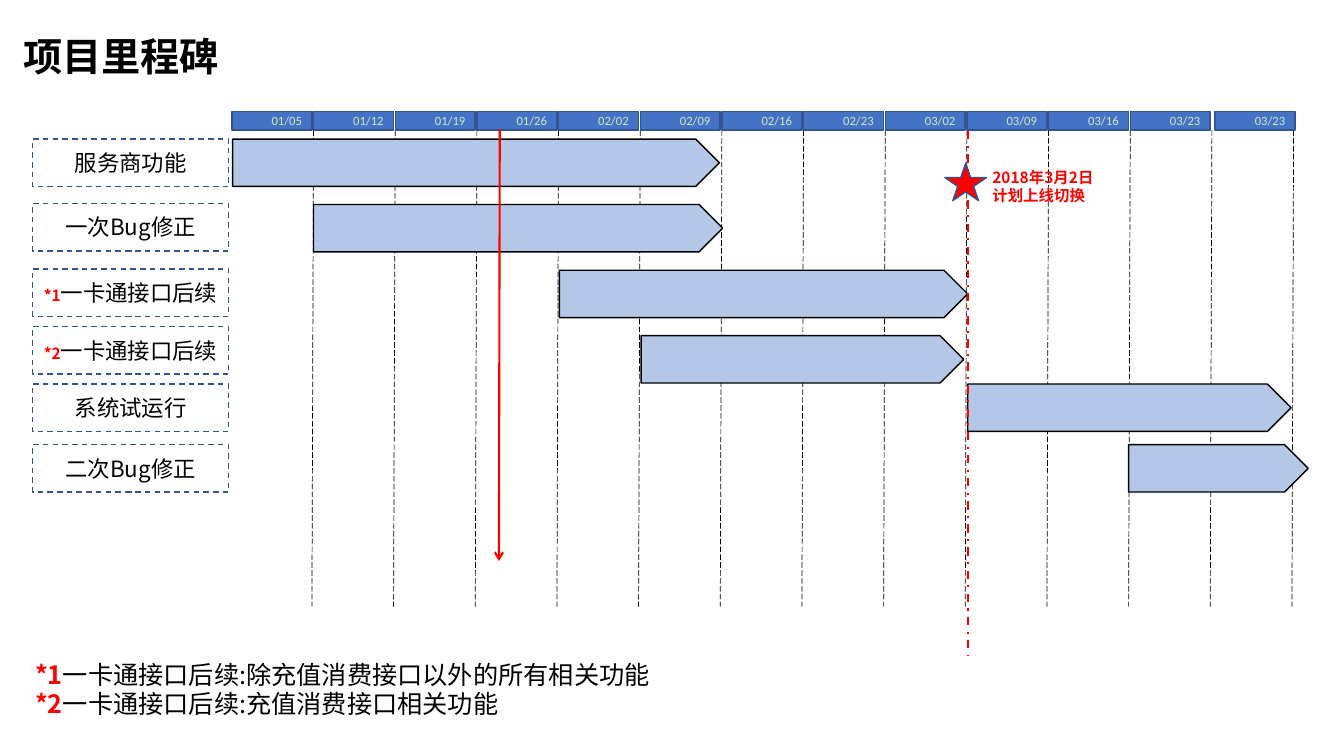
from lxml import etree
from pptx import Presentation
from pptx.dml.color import RGBColor
from pptx.enum.dml import MSO_LINE
from pptx.enum.shapes import MSO_CONNECTOR, MSO_SHAPE
from pptx.enum.text import MSO_ANCHOR, PP_ALIGN
from pptx.oxml.ns import qn
from pptx.util import Inches, Pt

RECTANGLE, PENTAGON, STAR = MSO_SHAPE.RECTANGLE, MSO_SHAPE.PENTAGON, MSO_SHAPE.STAR_5_POINT
STRAIGHT = MSO_CONNECTOR.STRAIGHT
DASH, LONG_DASH, DASH_DOT = MSO_LINE.DASH, MSO_LINE.LONG_DASH, MSO_LINE.DASH_DOT
LEFT, CENTER, RIGHT = PP_ALIGN.LEFT, PP_ALIGN.CENTER, PP_ALIGN.RIGHT
TOP, MIDDLE = MSO_ANCHOR.TOP, MSO_ANCHOR.MIDDLE

WHITE = RGBColor(0xFF, 0xFF, 0xFF)
BLACK = RGBColor(0x00, 0x00, 0x00)
RED = RGBColor(0xFF, 0x00, 0x00)
BLUE = RGBColor(0x44, 0x72, 0xC4)
DARK_BLUE = RGBColor(0x32, 0x54, 0x91)
LIGHT_BLUE = RGBColor(0xB4, 0xC7, 0xE7)
PALE_GREEN = RGBColor(0xCE, 0xEA, 0xCA)

CHINESE_FONT, DATE_FONT = "Noto Sans CJK SC", "Calibri"
LINE_HEIGHT = 1.18

# One column is a week, one row is the height of a bar.
ORIGIN_X, COLUMN = 2.3, 0.81
ORIGIN_Y, ROW = 1.38, 0.47

WEEKS = ["01/05", "01/12", "01/19", "01/26", "02/02", "02/09", "02/16",
         "02/23", "03/02", "03/09", "03/16", "03/23", "03/23"]
LAST_WEEK_GAP = 0.04

# Marker, label, label row, bar row, first week, length in weeks
TASKS = [
    ("", "服务商功能", 0, 0, 0.01, 5.96),
    ("", "一次Bug修正", 1.36, 1.38, 1, 5.01),
    ("*1", "一卡通接口后续", 2.74, 2.77, 4.01, 5),
    ("*2", "一卡通接口后续", 3.96, 4.15, 5.01, 3.95),
    ("", "系统试运行", 5.17, 5.17, 9.01, 3.96),
    ("", "二次Bug修正", 6.45, 6.45, 10.98, 2.2),
]
FOOTNOTES = [("*1", "一卡通接口后续:除充值消费接口以外的所有相关功能"),
             ("*2", "一卡通接口后续:充值消费接口相关功能")]


def set_font(font, size, color, bold=False, name=CHINESE_FONT):
    font.size, font.bold, font.name = Pt(size), bold, name
    font.color.rgb = color
    etree.SubElement(font._rPr, qn("a:ea")).set("typeface", name)


class Timeline:
    def __init__(self, presentation):
        self.slide = presentation.slides.add_slide(presentation.slide_layouts[5])
        background = self.slide.background.fill
        background.solid()
        background.fore_color.rgb = WHITE

    def place(self, column, row):
        return Inches(ORIGIN_X + column * COLUMN), Inches(ORIGIN_Y + row * ROW)

    def area(self, column, row, columns, rows):
        return *self.place(column, row), Inches(columns * COLUMN), Inches(rows * ROW)

    def put_lines(self, shape, lines, size, color, bold=False, align=LEFT, anchor=MIDDLE,
                  name=CHINESE_FONT, marker_size=None):
        """Fill a shape with (marker, text) lines; markers are bold red."""
        frame = shape.text_frame
        frame.word_wrap = True
        frame.vertical_anchor = anchor
        for index, (marker, text) in enumerate(lines):
            paragraph = frame.add_paragraph() if index else frame.paragraphs[0]
            paragraph.alignment = align
            paragraph.line_spacing = Pt(round(size * LINE_HEIGHT, 1))
            if marker:
                marker_run, text_run = paragraph.add_run(), paragraph.add_run()
                marker_run.text, text_run.text = marker, text
                set_font(marker_run.font, marker_size or size, RED, True)
                set_font(text_run.font, size, color, bold, name)
            else:
                paragraph.add_run().text = text
                set_font(paragraph.font, size, color, bold, name)

    def title(self, area, text):
        title = self.slide.shapes.title
        title.left, title.top, title.width, title.height = self.area(*area)
        self.put_lines(title, [("", text)], 28, BLACK, bold=True, anchor=TOP)

    def text(self, area, lines, size, color, **style):
        box = self.slide.shapes.add_textbox(*self.area(*area))
        self.put_lines(box, lines, size, color, **style)

    def shape(self, kind, area, fill, outline, dash=None):
        shape = self.slide.shapes.add_shape(kind, *self.area(*area))
        shape.shadow.inherit = False
        if fill is None:
            shape.fill.background()
        else:
            shape.fill.solid()
            shape.fill.fore_color.rgb = fill
        shape.line.color.rgb = outline
        shape.line.width = Pt(1)
        if dash:
            shape.line.dash_style = dash
        return shape

    def line(self, start, end, color, width, dash=None, arrow=False):
        line = self.slide.shapes.add_connector(STRAIGHT, *self.place(*start), *self.place(*end))
        line.line.color.rgb = color
        line.line.width = Pt(width)
        if dash:
            line.line.dash_style = dash
        if arrow:
            etree.SubElement(line.line._get_or_add_ln(), qn("a:tailEnd")).set("type", "arrow")
        etree.SubElement(line._element.spPr, qn("a:effectLst"))


def main():
    presentation = Presentation()
    presentation.slide_width, presentation.slide_height = Inches(13.33), Inches(7.5)
    timeline = Timeline(presentation)
    timeline.title((-2.68, -2.34, 3.1, 1.21), "项目里程碑")

    for week in range(1, len(WEEKS) + 1):
        timeline.line((week, -0.19), (week - 0.02, 9.87), BLACK, 0.5, LONG_DASH)
    for week, date in enumerate(WEEKS):
        gap = LAST_WEEK_GAP if week == len(WEEKS) - 1 else 0
        cell = timeline.shape(RECTANGLE, (week + gap, -0.58, 0.98, 0.39), BLUE, DARK_BLUE)
        timeline.put_lines(cell, [("", date)], 9, PALE_GREEN, align=RIGHT, name=DATE_FONT)

    for marker, text, label_row, bar_row, start, length in TASKS:
        label = timeline.shape(RECTANGLE, (-2.44, label_row, 2.4, 1), None, DARK_BLUE, DASH)
        timeline.put_lines(label, [(marker, text)], 16, BLACK, align=CENTER, marker_size=11)
        timeline.shape(PENTAGON, (start, bar_row, length, 1), LIGHT_BLUE, BLACK)

    timeline.text((-2.53, 10.83, 15.6, 1.57), FOOTNOTES, 18, BLACK)
    timeline.line((3.28, -0.21), (3.27, 8.91), RED, 1.5, arrow=True)
    timeline.line((9.01, -0.17), (9.01, 10.89), RED, 1.5, DASH_DOT)
    timeline.shape(STAR, (8.73, 0.51, 0.51, 0.79), RED, DARK_BLUE)
    timeline.text((9.19, 0.51, 1.52, 1), [("", "2018年3月2日"), ("", "计划上线切换")],
                  11, RED, bold=True, anchor=TOP)
    presentation.save("out.pptx")


if __name__ == "__main__":
    main()
